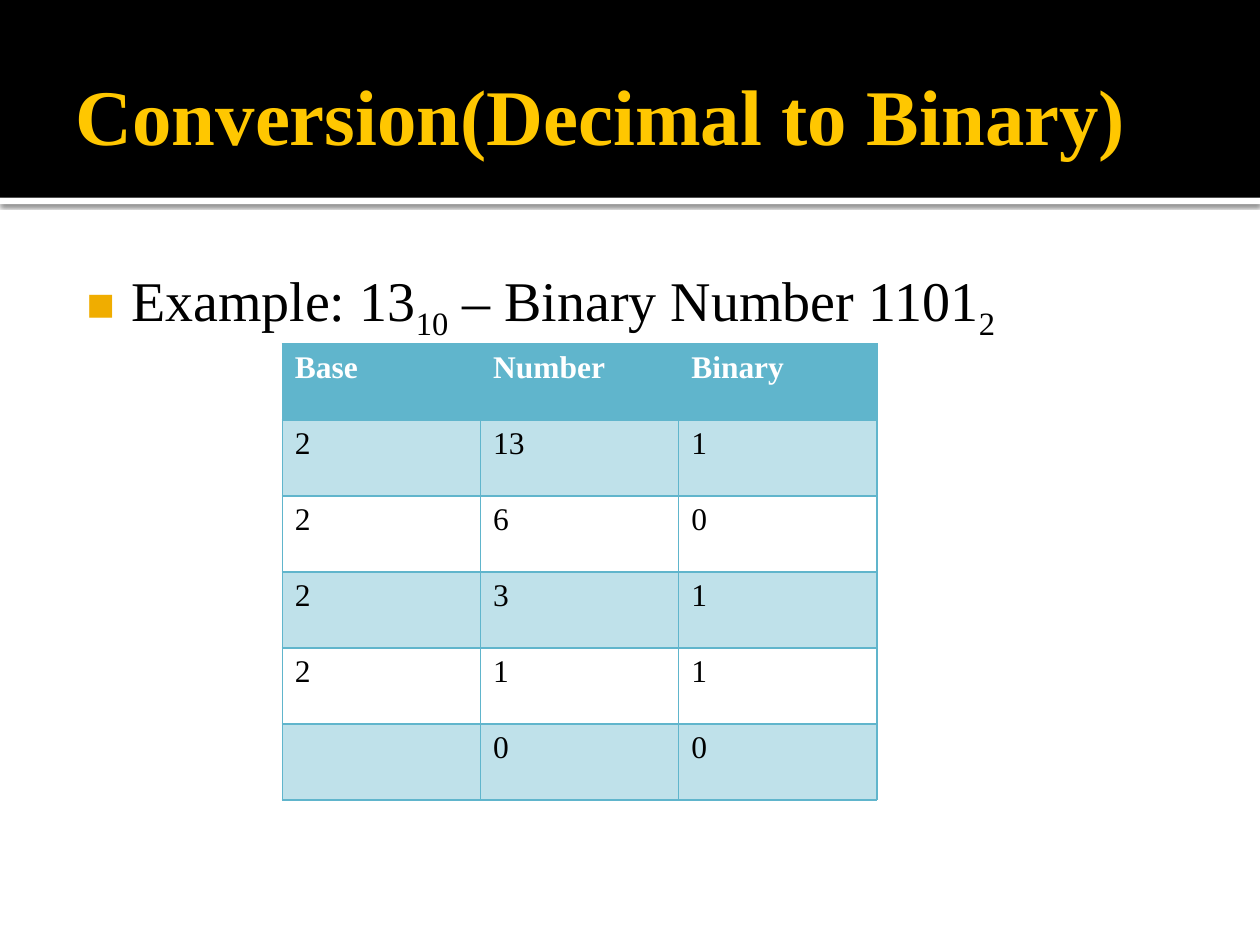
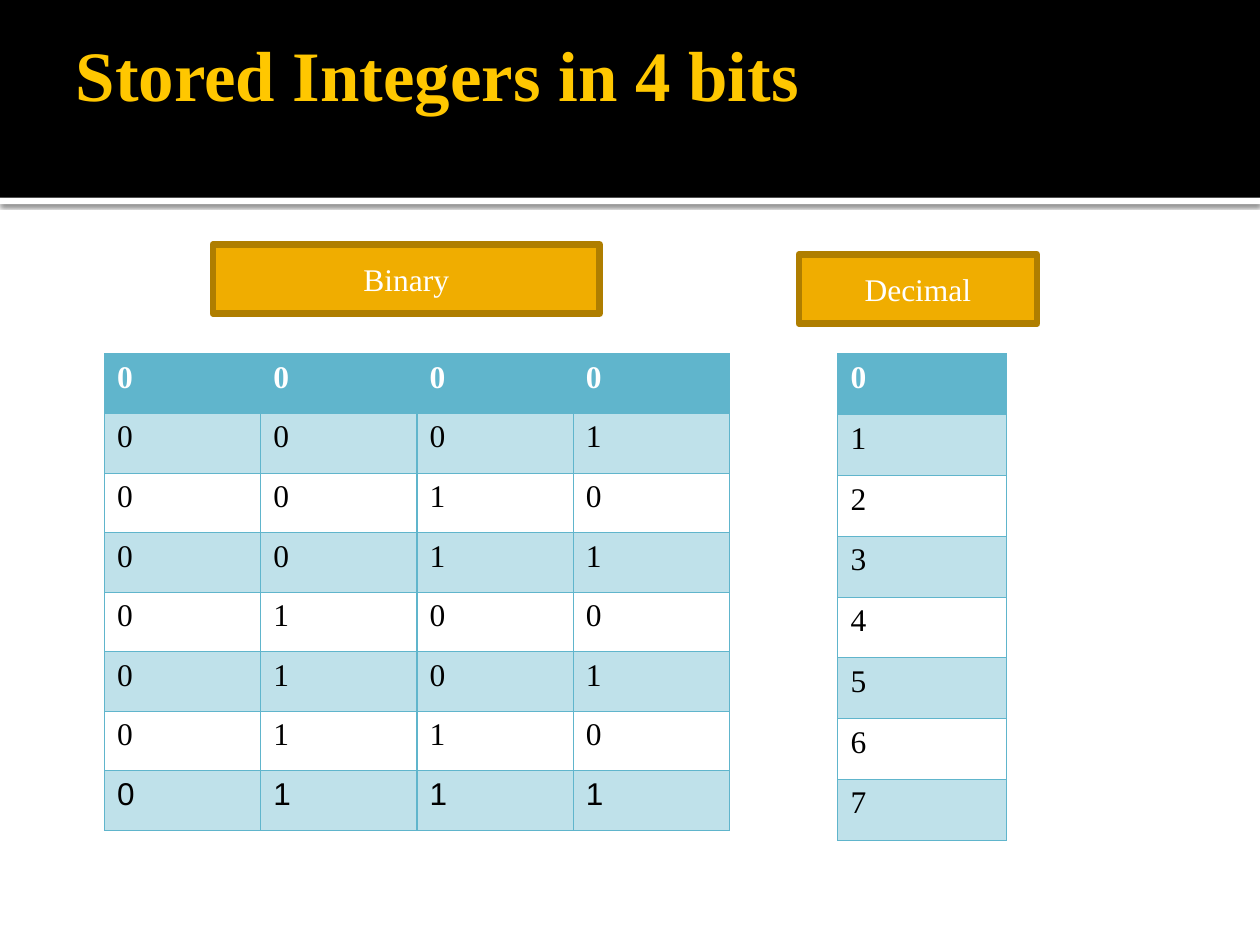
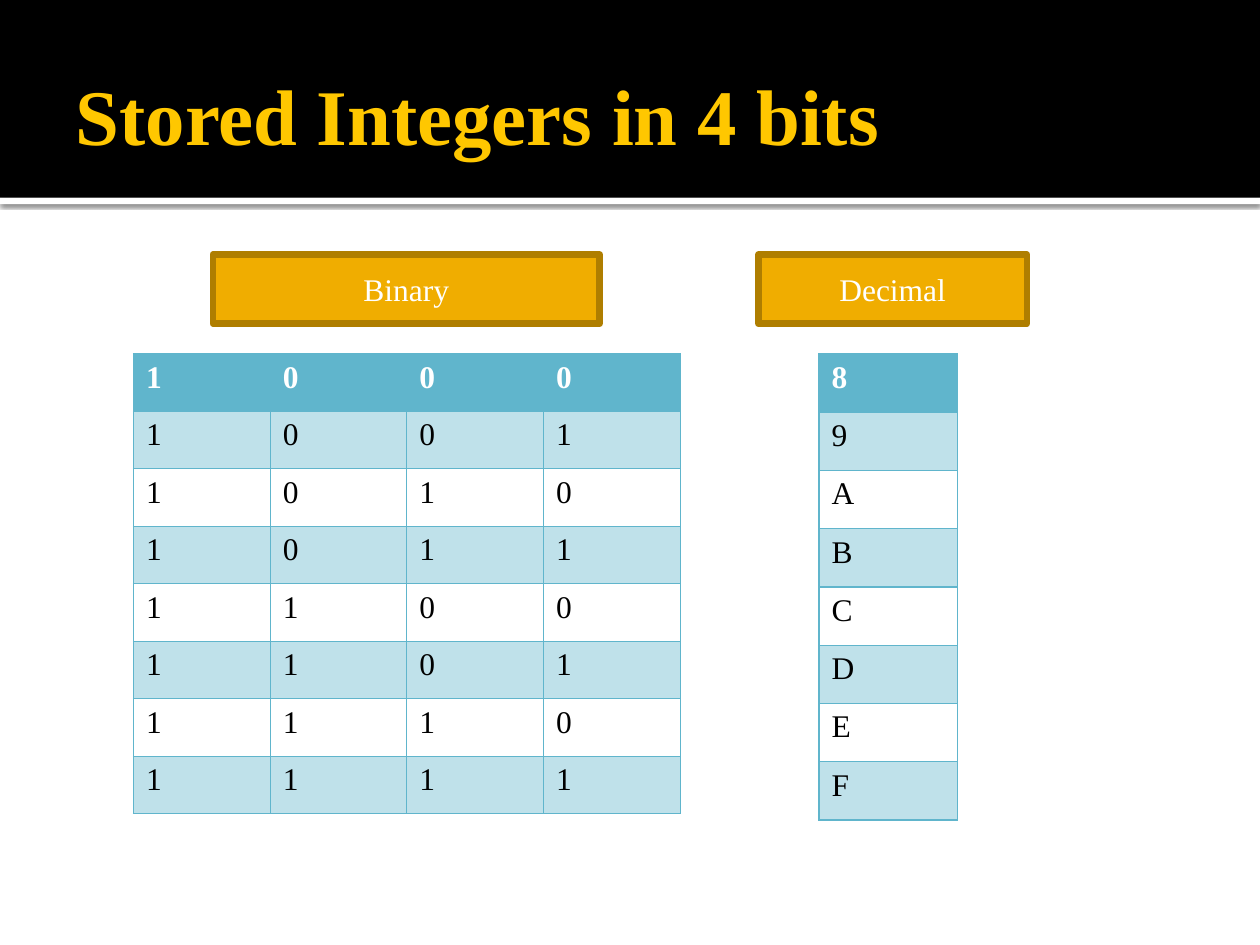
from lxml.etree import SubElement
from pptx import Presentation
from pptx.dml.color import RGBColor
from pptx.enum.shapes import MSO_SHAPE as SHAPE
from pptx.enum.text import MSO_ANCHOR as ANCHOR, MSO_AUTO_SIZE as AUTO, PP_ALIGN as ALIGN
from pptx.oxml.ns import qn
from pptx.util import Inches, Pt

COLORS = {
    "black": "000000", "white": "FFFFFF", "title": "FFC700",
    "amber": "F0AD00", "amber_edge": "AF7E00", "teal": "60B5CC",
}
FONT = "Times New Roman"

# Content: table and label boxes are left, top, width, height in inches
SLIDES = [
    {
        "title": "Conversion(Decimal to Binary)",
        "body": [("Example: 13", False), ("10", True),
                 (" – Binary Number 1101", False), ("2", True)],
        "tables": [
            {"box": (2.24, 2.73, 4.72, 3.62),
             "rows": [("Base", "Number", "Binary"), "2 13 1".split(), "2 6 0".split(),
                      "2 3 1".split(), "2 1 1".split(), ("", "0", "0")]},
        ],
    },
    {
        "title": "Stored Integers in 4 bits",
        "title_size": 40.5, "title_bottom": 0.7,
        "tables": [
            {"box": (0.83, 2.81, 4.96, 3.78), "last_font": "Arial",
             "rows": "0000 0001 0010 0011 0100 0101 0110 0111".split()},
            {"box": (6.65, 2.81, 1.34, 3.86), "rows": "01234567"},
        ],
        "labels": [("Binary", (1.69, 1.94, 3.07, 0.55)),
                   ("Decimal", (6.34, 2.02, 1.89, 0.55))],
    },
    {
        "title": "Stored Integers in 4 bits",
        "tables": [
            {"box": (1.06, 2.81, 4.34, 3.65),
             "rows": "1000 1001 1010 1011 1100 1101 1110 1111".split()},
            {"box": (6.5, 2.81, 1.1, 3.7), "rows": "89ABCDEF"},
        ],
        "labels": [("Binary", (1.69, 2.02, 3.07, 0.55)),
                   ("Decimal", (6.02, 2.02, 2.13, 0.55))],
    },
]


def rgb(name):
    return RGBColor.from_string(COLORS[name])


def inches(box):
    return [Inches(v) for v in box]


def add_text(p, text, size=18, color="black", bold=False, font=FONT, sub=False):
    r = p.add_run()
    r.text = text
    r.font.size, r.font.name, r.font.bold = Pt(size), font, bold
    r.font.color.rgb = rgb(color)
    if sub:
        r.font._element.set("baseline", "-25000")


def set_margins(tf, left, top, right, bottom):
    tf.margin_left, tf.margin_top, tf.margin_right, tf.margin_bottom = inches(
        (left, top, right, bottom))


def add_rect(slide, box, fill, line=None):
    sp = slide.shapes.add_shape(SHAPE.RECTANGLE, *inches(box))
    sp.shadow.inherit = False
    sp.fill.solid()
    sp.fill.fore_color.rgb = rgb(fill)
    if line:
        sp.line.color.rgb = rgb(line)
        sp.line.width = Pt(3.78)
    else:
        sp.line.fill.background()
    return sp


def add_master_bands(prs, slide):
    """Draw the header bands and move them behind everything on the master."""
    strip = add_rect(slide, (0, 1.57, 10, 0.05), "white")
    header = add_rect(slide, (0, 0, 10, 1.57), "black")
    effects = strip.element.spPr.find(qn("a:effectLst"))
    shadow = SubElement(effects, qn("a:outerShdw"), blurRad=str(Pt(2.5)),
                        dist=str(Pt(0.8)), dir="5400000", rotWithShape="0")
    clr = SubElement(shadow, qn("a:srgbClr"), val=COLORS["black"])
    SubElement(clr, qn("a:alpha"), val="60000")
    for i, band in enumerate((strip, header)):
        prs.slide_master.shapes.element.insert(2 + i, band.element)


def place(sp, box):
    sp.left, sp.top, sp.width, sp.height = inches(box)
    sp.text_frame.auto_size = AUTO.NONE
    sp.text_frame.word_wrap = True
    return sp.text_frame


def fill_title(slide, text, size=45, bottom=0.05):
    tf = place(slide.shapes.title, (0.5, 0.17, 9, 1.37))
    tf.vertical_anchor = ANCHOR.MIDDLE
    set_margins(tf, 0.1, 0.15, 0.05, bottom)
    p = tf.paragraphs[0]
    p.alignment = ALIGN.LEFT
    add_text(p, text, size=size, color="title", bold=True)


def fill_body(slide, runs):
    tf = place(slide.placeholders[1], (0.5, 1.94, 9, 5.06))
    set_margins(tf, 0.06, 0.17, 0.1, 0.05)
    p = tf.paragraphs[0]
    p.space_before = Pt(0)
    for text, sub in runs:
        add_text(p, text, size=32, sub=sub)
    # Square amber bullet
    pPr = p._p.get_or_add_pPr()
    pPr.set("marL", str(Inches(0.48)))
    pPr.set("indent", str(Inches(-0.35)))
    clr = SubElement(pPr, qn("a:buClr"))
    SubElement(clr, qn("a:srgbClr"), val=COLORS["amber"])
    SubElement(pPr, qn("a:buSzPct"), val="80000")
    SubElement(pPr, qn("a:buChar"), char="◼")


def style_cell(cell, row):
    """Solid header, then tinted and clear rows in turn, all with thin borders."""
    tcPr = cell._tc.get_or_add_tcPr()
    for side in "LRTB":
        ln = SubElement(tcPr, qn(f"a:ln{side}"), w=str(Pt(0.75)))
        SubElement(SubElement(ln, qn("a:solidFill")), qn("a:srgbClr"), val=COLORS["teal"])
    if row and row % 2 == 0:
        cell.fill.background()
        return
    cell.fill.solid()
    cell.fill.fore_color.rgb = rgb("teal")
    if row:
        clr = tcPr.find(qn("a:solidFill")).find(qn("a:srgbClr"))
        SubElement(clr, qn("a:alpha"), val="40000")


def add_grid(slide, box, rows, last_font=FONT):
    n_rows, n_cols = len(rows), len(rows[0])
    table = slide.shapes.add_table(n_rows, n_cols, *inches(box)).table
    for col in table.columns:
        col.width = Inches(box[2] / n_cols)
    for i, values in enumerate(rows):
        table.rows[i].height = Inches(box[3] / n_rows)
        font = last_font if i == n_rows - 1 else FONT
        for j, value in enumerate(values):
            cell = table.cell(i, j)
            style_cell(cell, i)
            if value:
                add_text(cell.text_frame.paragraphs[0], value, font=font,
                         color="black" if i else "white", bold=i == 0)


def add_label(slide, text, box):
    tf = add_rect(slide, box, "amber", "amber_edge").text_frame
    tf.word_wrap = True
    tf.vertical_anchor = ANCHOR.MIDDLE
    p = tf.paragraphs[0]
    p.alignment = ALIGN.CENTER
    add_text(p, text, color="white")


def main():
    prs = Presentation()
    prs.slide_width, prs.slide_height = Inches(10), Inches(7.5)
    for n, data in enumerate(SLIDES):
        # Layout 1 has a title and a body, layout 5 a title only
        slide = prs.slides.add_slide(prs.slide_layouts[1 if "body" in data else 5])
        if n == 0:
            add_master_bands(prs, slide)
        fill_title(slide, data["title"], data.get("title_size", 45),
                   data.get("title_bottom", 0.05))
        if "body" in data:
            fill_body(slide, data["body"])
        for grid in data["tables"]:
            add_grid(slide, **grid)
        for text, box in data.get("labels", []):
            add_label(slide, text, box)
    prs.save("out.pptx")


if __name__ == "__main__":
    main()
